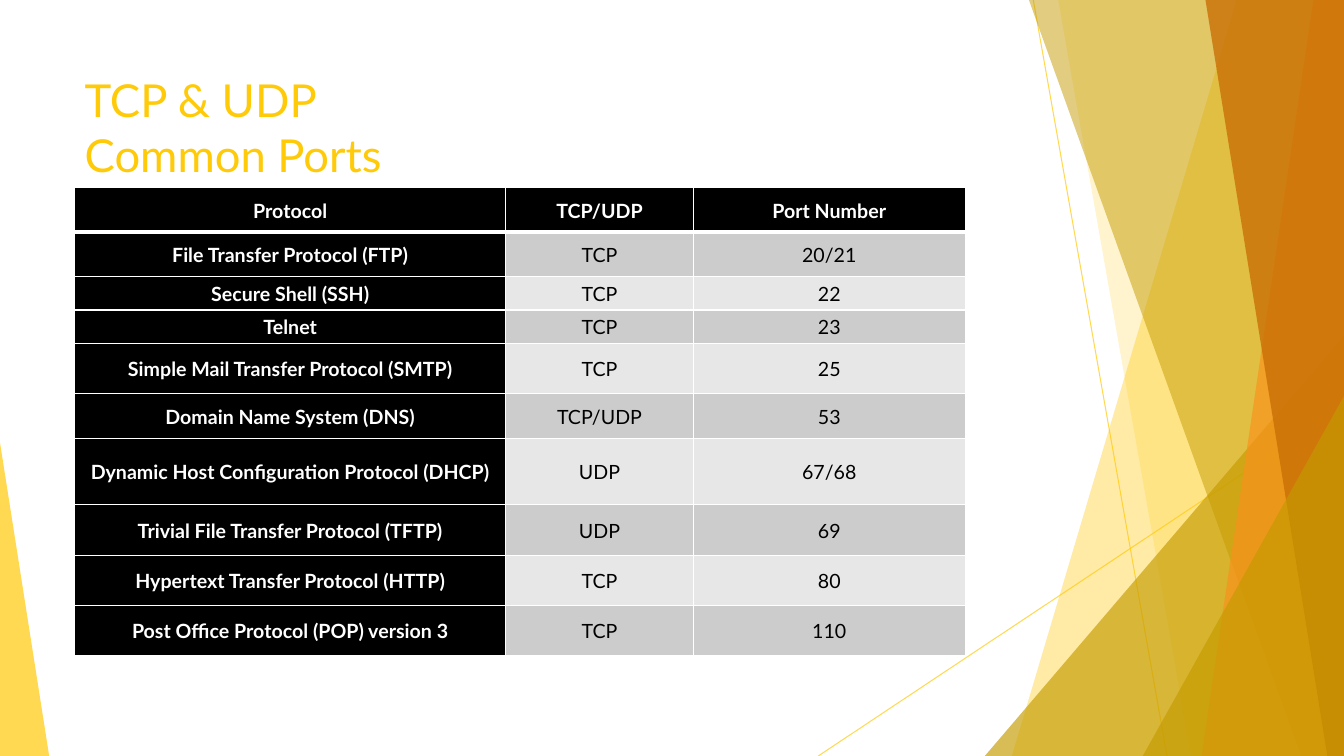
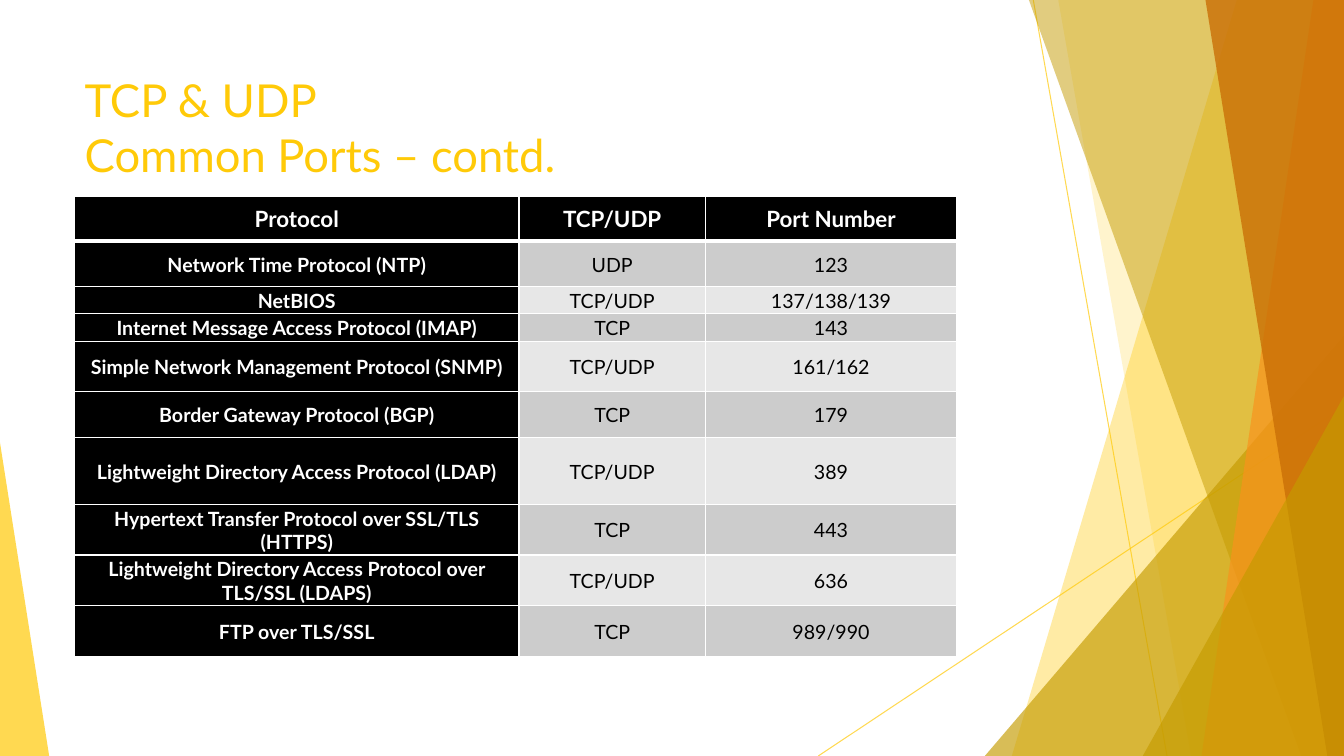
from typing import NamedTuple

from lxml.etree import SubElement
from pptx import Presentation
from pptx.dml.color import RGBColor
from pptx.enum.shapes import MSO_CONNECTOR, MSO_SHAPE
from pptx.enum.text import MSO_ANCHOR, MSO_AUTO_SIZE, PP_ALIGN
from pptx.oxml.ns import qn
from pptx.shapes.base import BaseShape
from pptx.slide import Slide, SlideLayout
from pptx.table import _Cell as Cell
from pptx.util import Cm, Pt

FONT = "Lato"
YELLOW = RGBColor(0xFF, 0xCA, 0x08)
OLIVE = RGBColor(0xC5, 0x9B, 0x00)
ORANGE = RGBColor(0xF8, 0x93, 0x1D)
RUST = RGBColor(0xCA, 0x6F, 0x06)
BLACK = RGBColor(0x00, 0x00, 0x00)
WHITE = RGBColor(0xFF, 0xFF, 0xFF)
DARK_BAND = RGBColor(0xCC, 0xCC, 0xCC)
LIGHT_BAND = RGBColor(0xE7, 0xE7, 0xE7)

SLIDE_WIDTH, SLIDE_HEIGHT = 33.87, 19.05
LEFT_MARGIN = 1.88
HEADINGS = ("Protocol", "TCP/UDP", "Port Number")


class Ray(NamedTuple):
    start: tuple[float, float]
    end: tuple[float, float]


class Band(NamedTuple):
    """A full-height area from a slanted left edge to the right slide edge."""
    top_left: float
    bottom_left: float
    color: RGBColor
    opacity: int


class Corner(NamedTuple):
    """A right triangle standing on the bottom slide edge."""
    left: float
    top: float
    width: float
    apex: float
    color: RGBColor
    opacity: int


class Port(NamedTuple):
    protocol: str
    transport: str
    number: str
    height: float


class PortSlide(NamedTuple):
    title: tuple[str, str]
    top: float
    column_widths: tuple[float, float, float]
    heading_height: float
    heading_size: int
    ports: tuple[Port, ...]


BACKDROP = (
    Ray((26.04, 0), (29.41, SLIDE_HEIGHT)),
    Ray((SLIDE_WIDTH, 10.24), (20.62, SLIDE_HEIGHT)),
    Band(31.17, 25.5, YELLOW, 36),
    Band(26.67, 30.02, YELLOW, 20),
    Corner(24.82, 8.46, 9.05, 1, OLIVE, 66),
    Band(25.93, 32.79, OLIVE, 50),
    Band(33.1, 30.28, ORANGE, 70),
    Band(30.38, 33.45, RUST, 80),
    Corner(28.8, 9.98, 5.07, 1, OLIVE, 66),
    Corner(0, 11.15, 1.24, 0, YELLOW, 70),
)

PORT_SLIDES = (
    PortSlide(
        ("TCP & UDP", "Common Ports"), 4.73, (10.87, 4.72, 6.86), 1.12, 14,
        (
            Port("File Transfer Protocol (FTP)", "TCP", "20/21", 1.12),
            Port("Secure Shell (SSH)", "TCP", "22", 0.84),
            Port("Telnet", "TCP", "23", 0.84),
            Port("Simple Mail Transfer Protocol (SMTP)", "TCP", "25", 1.27),
            Port("Domain Name System (DNS)", "TCP/UDP", "53", 1.12),
            Port("Dynamic Host Configuration Protocol (DHCP)", "UDP", "67/68", 1.68),
            Port("Trivial File Transfer Protocol (TFTP)", "UDP", "69", 1.27),
            Port("Hypertext Transfer Protocol (HTTP)", "TCP", "80", 1.27),
            Port("Post Office Protocol (POP) version 3", "TCP", "110", 1.27),
        ),
    ),
    PortSlide(
        ("TCP & UDP", "Common Ports – contd."), 4.94, (11.2, 4.7, 6.33), 1.14, 16,
        (
            Port("Network Time Protocol (NTP)", "UDP", "123", 1.14),
            Port("NetBIOS", "TCP/UDP", "137/138/139", 0.69),
            Port("Internet Message Access Protocol (IMAP)", "TCP", "143", 0.69),
            Port("Simple Network Management Protocol (SNMP)", "TCP/UDP", "161/162", 1.27),
            Port("Border Gateway Protocol (BGP)", "TCP", "179", 1.15),
            Port("Lightweight Directory Access Protocol (LDAP)", "TCP/UDP", "389", 1.7),
            Port("Hypertext Transfer Protocol over SSL/TLS (HTTPS)", "TCP", "443", 1.27),
            Port("Lightweight Directory Access Protocol over TLS/SSL (LDAPS)",
                 "TCP/UDP", "636", 1.28),
            Port("FTP over TLS/SSL", "TCP", "989/990", 1.28),
        ),
    ),
)


def set_opacity(shape: BaseShape, percent: int) -> None:
    for color in shape.element.spPr.iter(qn("a:srgbClr")):
        SubElement(color, qn("a:alpha"), val=str(percent * 1000))


def draw_ray(slide: Slide, ray: Ray) -> BaseShape:
    line = slide.shapes.add_connector(
        MSO_CONNECTOR.STRAIGHT, *(Cm(value) for value in ray.start + ray.end))
    line.line.color.rgb = YELLOW
    line.line.width = Pt(0.75)
    set_opacity(line, 70)
    SubElement(line.element.spPr, qn("a:effectLst"))
    return line


def draw_area(slide: Slide, area: Band | Corner) -> BaseShape:
    if isinstance(area, Band):
        outline = slide.shapes.build_freeform(Cm(area.top_left), 0)
        outline.add_line_segments([
            (Cm(SLIDE_WIDTH), 0),
            (Cm(SLIDE_WIDTH), Cm(SLIDE_HEIGHT)),
            (Cm(area.bottom_left), Cm(SLIDE_HEIGHT)),
        ])
        shape = outline.convert_to_shape()
    else:
        shape = slide.shapes.add_shape(
            MSO_SHAPE.ISOSCELES_TRIANGLE, Cm(area.left), Cm(area.top),
            Cm(area.width), Cm(SLIDE_HEIGHT - area.top))
        shape.adjustments[0] = area.apex
    shape.shadow.inherit = False
    shape.fill.solid()
    shape.fill.fore_color.rgb = area.color
    shape.line.fill.background()
    set_opacity(shape, area.opacity)
    return shape


def move_backdrop_to_layout(slide: Slide, layout: SlideLayout) -> None:
    """Draw the backdrop with the slide's shape tools, then hand it to the layout."""
    for part in BACKDROP:
        draw = draw_ray if isinstance(part, Ray) else draw_area
        layout.shapes.element.append(draw(slide, part).element)


def write_title(slide: Slide, lines: tuple[str, str]) -> None:
    title = slide.shapes.title
    title.left, title.top = Cm(LEFT_MARGIN), Cm(1.7)
    title.width, title.height = Cm(23.88), Cm(3.66)
    frame = title.text_frame
    frame.auto_size = MSO_AUTO_SIZE.NONE
    frame.vertical_anchor = MSO_ANCHOR.TOP
    paragraph = frame.paragraphs[0]
    paragraph.text = lines[0]
    paragraph.add_line_break()
    paragraph.add_run().text = lines[1]
    paragraph.alignment = PP_ALIGN.LEFT
    paragraph.font.name = FONT
    paragraph.font.size = Pt(32.4)
    paragraph.font.color.rgb = YELLOW


def set_borders(cell: Cell, top: int, bottom: int) -> None:
    """Give the cell white borders; call before filling, as borders come first."""
    properties = cell._tc.get_or_add_tcPr()
    for side, points in (("L", 1), ("R", 1), ("T", top), ("B", bottom)):
        border = SubElement(properties, qn(f"a:ln{side}"), w=str(Pt(points)))
        fill = SubElement(border, qn("a:solidFill"))
        SubElement(fill, qn("a:srgbClr"), val=str(WHITE))


def write_cell(cell: Cell, text: str, size: int, fill: RGBColor, is_heading: bool) -> None:
    cell.fill.solid()
    cell.fill.fore_color.rgb = fill
    cell.vertical_anchor = MSO_ANCHOR.MIDDLE
    cell.margin_left = cell.margin_right = cell.margin_top = Cm(0.03)
    cell.margin_bottom = 0
    paragraph = cell.text_frame.paragraphs[0]
    paragraph.text = text
    paragraph.alignment = PP_ALIGN.CENTER
    paragraph.font.name = FONT
    paragraph.font.size = Pt(size)
    paragraph.font.bold = is_heading
    paragraph.font.color.rgb = WHITE if is_heading else BLACK


def add_port_table(slide: Slide, content: PortSlide) -> None:
    rows = (Port(*HEADINGS, content.heading_height), *content.ports)
    table = slide.shapes.add_table(
        len(rows), len(HEADINGS), Cm(LEFT_MARGIN), Cm(content.top),
        Cm(sum(content.column_widths)), Cm(sum(row.height for row in rows))).table
    table.first_col = True
    for column, width in zip(table.columns, content.column_widths):
        column.width = Cm(width)
    for row_index, row in enumerate(rows):
        table.rows[row_index].height = Cm(row.height)
        band = DARK_BAND if row_index % 2 else LIGHT_BAND
        for column_index, text in enumerate((row.protocol, row.transport, row.number)):
            is_heading = row_index == 0 or column_index == 0
            cell = table.cell(row_index, column_index)
            set_borders(cell, top=3 if row_index == 1 else 1,
                        bottom=3 if row_index == 0 else 1)
            write_cell(cell, text, 14 if row_index else content.heading_size,
                       BLACK if is_heading else band, is_heading)


def main() -> None:
    presentation = Presentation()
    presentation.slide_width = Cm(SLIDE_WIDTH)
    presentation.slide_height = Cm(SLIDE_HEIGHT)
    layout = presentation.slide_layouts.get_by_name("Title Only")
    for content in PORT_SLIDES:
        slide = presentation.slides.add_slide(layout)
        write_title(slide, content.title)
        add_port_table(slide, content)
    move_backdrop_to_layout(slide, layout)
    presentation.save("out.pptx")


if __name__ == "__main__":
    main()
